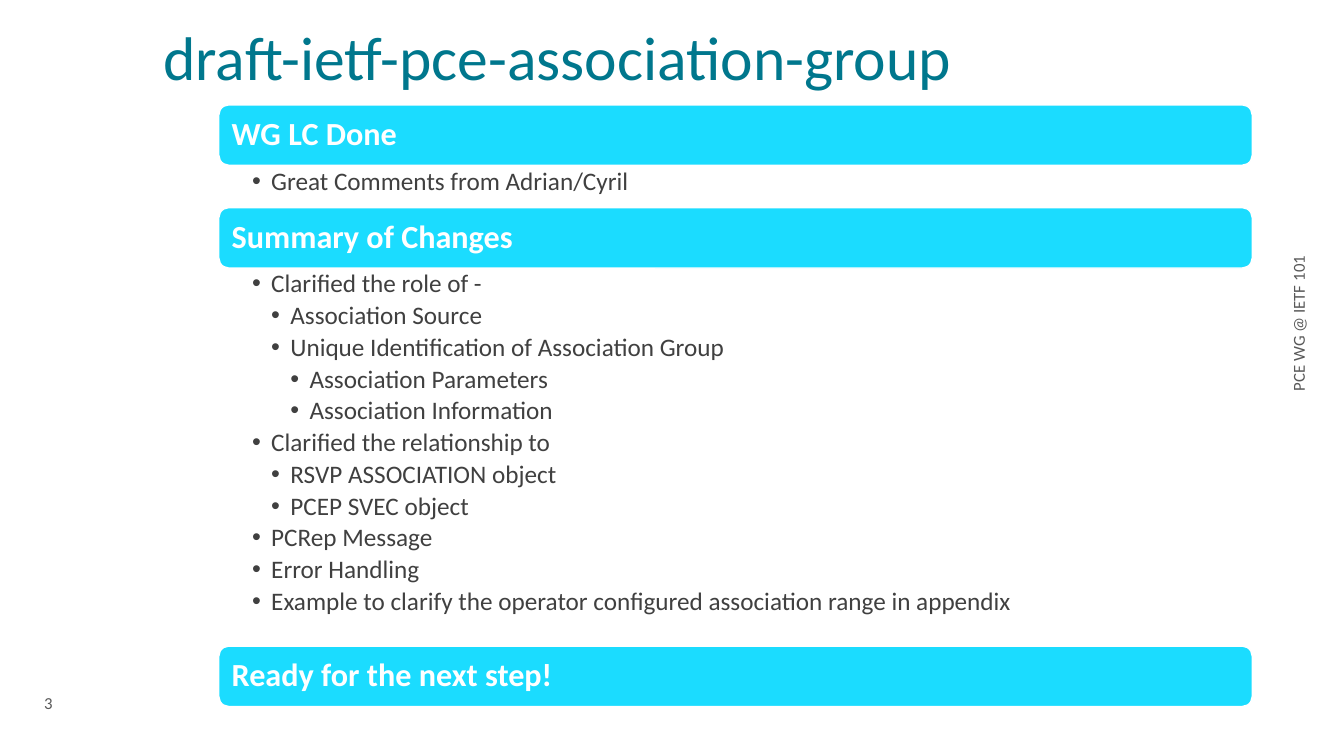
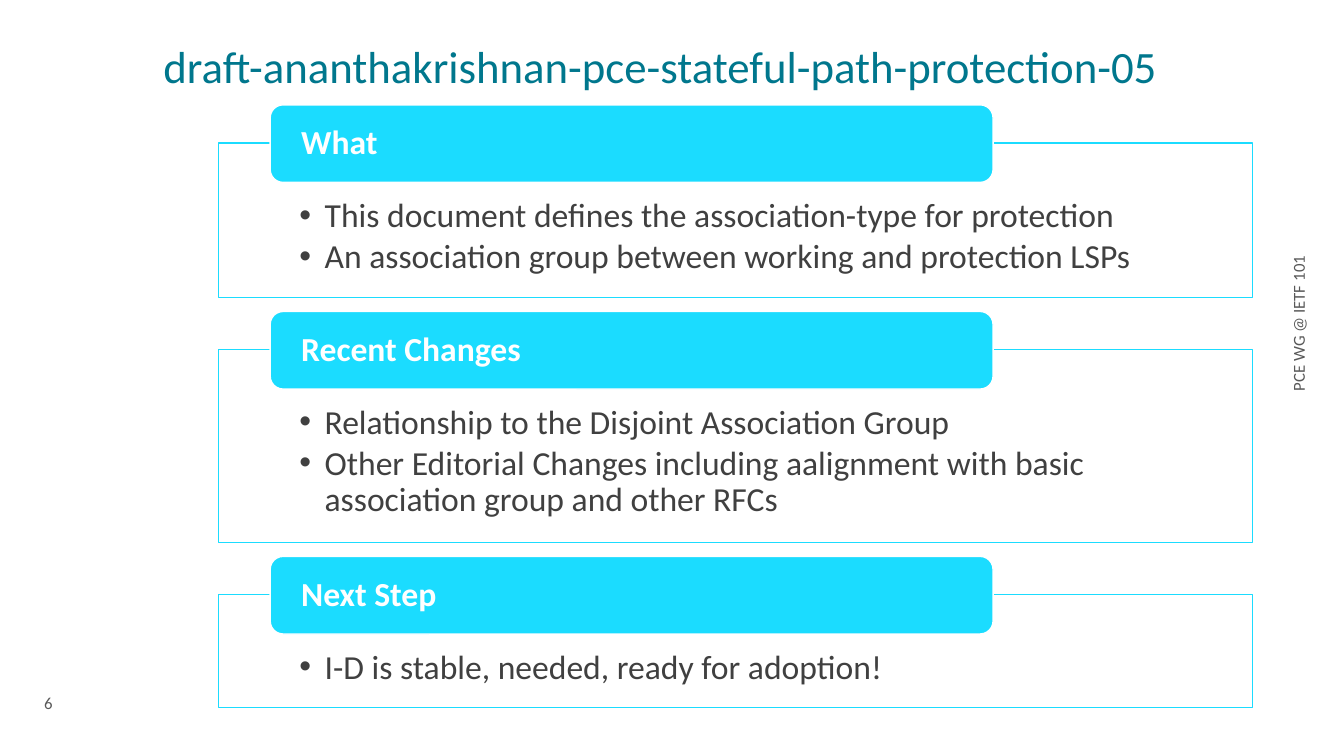
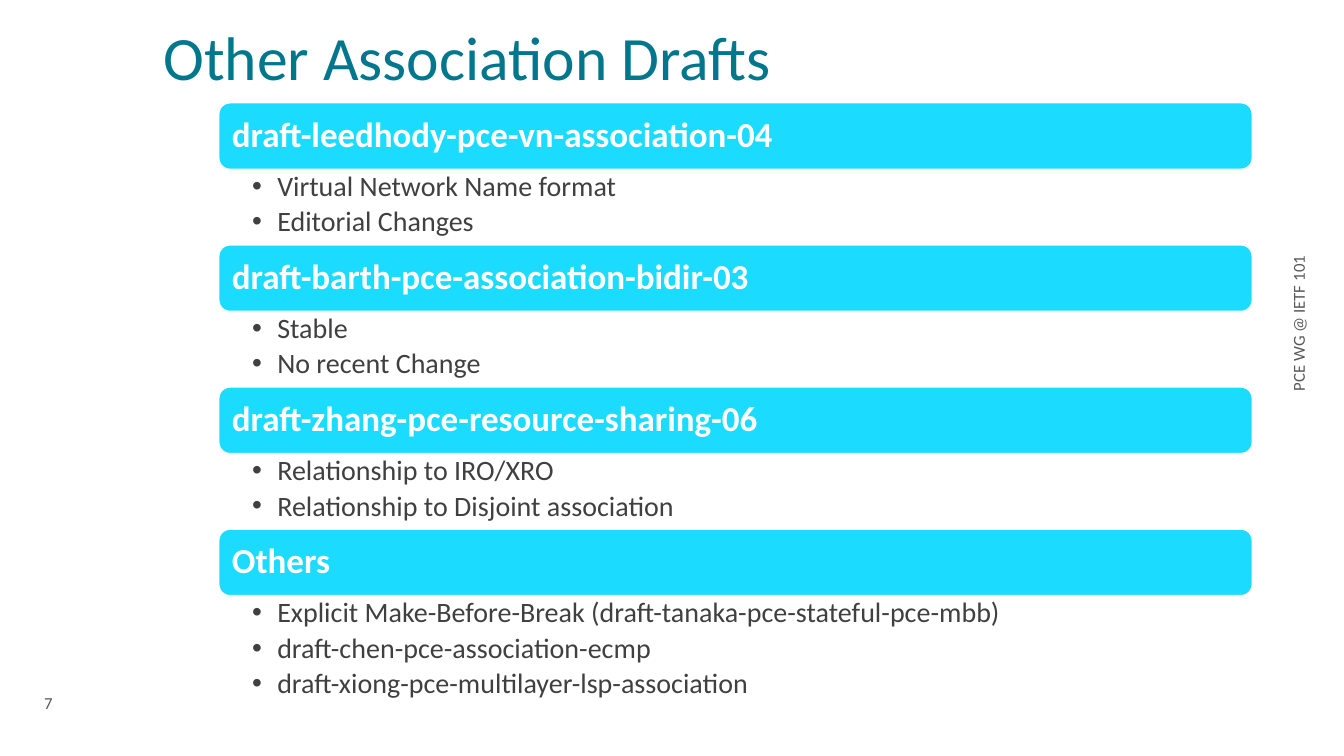
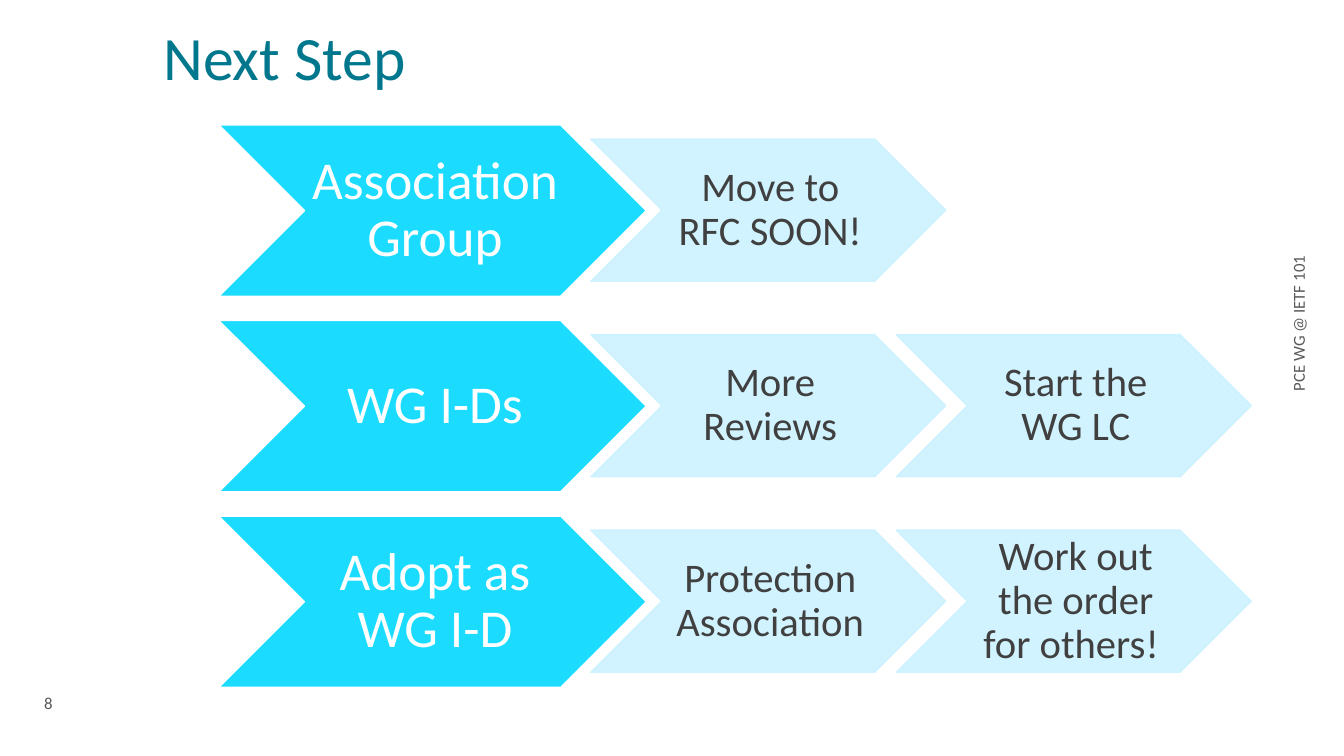
"""Builds four slides on the drafts of the PCE association group."""
from lxml.etree import SubElement
from pptx import Presentation
from pptx.dml.color import RGBColor
from pptx.enum.shapes import MSO_SHAPE as SHAPE
from pptx.enum.text import MSO_ANCHOR as ANCHOR, MSO_AUTO_SIZE as AUTO, PP_ALIGN as ALIGN
from pptx.oxml.ns import qn
from pptx.util import Pt

EMU_PER_PX = 9144
FONT = "Calibri"
COLORS = {
    "title": "00778D",
    "footer": "595959",
    "body": "404040",
    "accent": "1BDCFF",
    "pale": "CDF2FF",
    "white": "FFFFFF",
}
FOOTER = "PCE WG @ IETF 101"
LEFT, WIDTH = 217, 1025

ASSOCIATION_GROUP = [
    ("WG LC Done", 42, [(1, "Great Comments from Adrian/Cyril")]),
    ("Summary of Changes", 375, [
        (1, "Clarified the role of -"),
        (2, "Association Source"),
        (2, "Unique Identification of Association Group"),
        (3, "Association Parameters"),
        (3, "Association Information"),
        (1, "Clarified the relationship to"),
        (2, "RSVP ASSOCIATION object"),
        (2, "PCEP SVEC object"),
        (1, "PCRep Message"),
        (1, "Error Handling"),
        (1, "Example to clarify the operator configured association range in appendix"),
    ]),
    ("Ready for the next step!", 0, []),
]
PATH_PROTECTION = [
    ("What", 153, [
        (1, "This document defines the association-type for protection"),
        (1, "An association group between working and protection LSPs"),
    ]),
    ("Recent Changes", 191, [
        (1, "Relationship to the Disjoint Association Group"),
        (1, "Other Editorial Changes including aalignment with basic "
            "association group and other RFCs"),
    ]),
    ("Next Step", 112, [(1, "I-D is stable, needed, ready for adoption!")]),
]
OTHER_DRAFTS = [
    ("draft-leedhody-pce-vn-association-04", 75, [
        (1, "Virtual Network Name format"),
        (1, "Editorial Changes"),
    ]),
    ("draft-barth-pce-association-bidir-03", 75, [
        (1, "Stable"),
        (1, "No recent Change"),
    ]),
    ("draft-zhang-pce-resource-sharing-06", 75, [
        (1, "Relationship to IRO/XRO"),
        (1, "Relationship to Disjoint association"),
    ]),
    ("Others", 113, [
        (1, "Explicit Make-Before-Break (draft-tanaka-pce-stateful-pce-mbb)"),
        (1, "draft-chen-pce-association-ecmp"),
        (1, "draft-xiong-pce-multilayer-lsp-association"),
    ]),
]
NEXT_STEPS = [
    ("Association Group", ["Move to RFC SOON!"]),
    ("WG I-Ds", ["More Reviews", "Start the WG LC"]),
    ("Adopt as WG I-D", ["Protection Association", "Work out the order for others! "]),
]


def px(*lengths):
    """Turn lengths in px into a list of EMU."""
    return [n * EMU_PER_PX for n in lengths]


def set_attrs(obj, **values):
    """Set each named attribute of an object."""
    for name, value in values.items():
        setattr(obj, name, value)


def rgb(color):
    """Look up a named colour."""
    return RGBColor.from_string(COLORS[color])


def format_frame(tf, anchor, insets=(10, 5, 10, 5)):
    """Set wrapping, anchor and insets of a text frame."""
    sides = ("margin_left", "margin_top", "margin_right", "margin_bottom")
    set_attrs(tf, word_wrap=True, auto_size=AUTO.NONE, vertical_anchor=anchor,
              **dict(zip(sides, px(*insets))))


def write_line(p, text, size, color, bold=False, align=ALIGN.LEFT, spacing=0.9):
    """Write one paragraph of a single style."""
    set_attrs(p, alignment=align, line_spacing=spacing)
    r = p.add_run()
    r.text = text
    set_attrs(r.font, name=FONT, size=Pt(size), bold=bold)
    r.font.color.rgb = rgb(color)


def write_bullets(tf, items, size, indent, gap):
    """Fill a text frame with bullets, spaced by a share of the line."""
    for i, (level, text) in enumerate(items):
        p = tf.paragraphs[0] if i == 0 else tf.add_paragraph()
        write_line(p, text, size, "body")
        set_attrs(p, level=level, space_after=Pt(round(size * gap * 0.9, 2)))
        pPr = p._p.get_or_add_pPr()
        pPr.set("marL", str(level * indent * EMU_PER_PX))
        pPr.set("indent", str(-indent * EMU_PER_PX))
        SubElement(pPr, qn("a:buFont"), typeface="Arial")
        SubElement(pPr, qn("a:buChar"), char="•")


def add_text(s, box, anchor, insets=(10, 5, 10, 5)):
    """Add a text box and return its frame."""
    tf = s.shapes.add_textbox(*px(*box)).text_frame
    format_frame(tf, anchor, insets)
    return tf


def add_block(s, kind, box, fill, line, alpha=None):
    """Add a filled preset shape with a thin outline."""
    sp = s.shapes.add_shape(kind, *px(*box))
    sp.shadow.inherit = False
    sp.fill.solid()
    sp.fill.fore_color.rgb = rgb(fill)
    sp.line.width = Pt(1)
    sp.line.color.rgb = rgb(line)
    if alpha:
        for clr in sp._element.spPr.iter(qn("a:srgbClr")):
            if clr.get("val") != COLORS["accent"]:
                SubElement(clr, qn("a:alpha"), val=str(alpha * 1000))
    return sp


def add_heading(s, box, text, size, insets):
    """Add a rounded bar with a bold heading."""
    tf = add_block(s, SHAPE.ROUNDED_RECTANGLE, box, "accent", "white").text_frame
    format_frame(tf, ANCHOR.MIDDLE, insets)
    write_line(tf.paragraphs[0], text, size, "white", bold=True)


def add_chevron(s, box, text, size, insets, fill, line, color, alpha=None):
    """Add a chevron with centred text."""
    tf = add_block(s, SHAPE.CHEVRON, box, fill, line, alpha).text_frame
    format_frame(tf, ANCHOR.MIDDLE, insets)
    write_line(tf.paragraphs[0], text, size, color, align=ALIGN.CENTER)


def add_page(prs, title, number, size=44):
    """Add a slide with its title, side footer and number."""
    s = prs.slides.add_slide(prs.slide_layouts[5])
    sp = s.shapes.title
    set_attrs(sp, **dict(zip(("left", "top", "width", "height"), px(152, 16, 1025, 81))))
    format_frame(sp.text_frame, ANCHOR.BOTTOM)
    write_line(sp.text_frame.paragraphs[0], title, size, "title", spacing=0.85)
    tf = add_text(s, (1272, 40, 31, 562), ANCHOR.MIDDLE)
    tf._txBody.bodyPr.set("vert", "vert270")
    write_line(tf.paragraphs[0], FOOTER, 12, "footer", align=ALIGN.CENTER, spacing=1.0)
    tf = add_text(s, (34, 686, 79, 22), ANCHOR.MIDDLE)
    write_line(tf.paragraphs[0], str(number), 12, "footer", spacing=1.0)
    return s


def add_stack(s, sections, top, bar, heading_size, size, indent):
    """Stack full-width headings, each with its bullets below."""
    for heading, height, items in sections:
        add_heading(s, (LEFT, top, WIDTH, bar), heading, heading_size, (10, 10, 10, 10))
        top += bar
        if items:
            tf = add_text(s, (LEFT, top, WIDTH, height), ANCHOR.TOP, (33, 3, 18, 3))
            write_bullets(tf, items, size, indent, 0.2)
        top += height


def add_panels(s, sections, top, gap):
    """Stack outlined panels, each with a heading over its top edge."""
    for heading, height, items in sections:
        sp = add_block(s, SHAPE.RECTANGLE, (LEFT, top, WIDTH, height), "white", "accent", 90)
        format_frame(sp.text_frame, ANCHOR.TOP, (80, 55, 80, 19))
        write_bullets(sp.text_frame, items, 24, 25, 0.15)
        add_heading(s, (268, top - 38, 717, 77), heading, 24, (27, 0, 27, 0))
        top += height + gap


def add_step_rows(s, rows, top, pitch):
    """Draw rows of a large chevron followed by smaller ones."""
    for i, (lead, steps) in enumerate(rows):
        y = top + i * pitch
        add_chevron(s, (LEFT, y, 424, 170), lead, 38, (5, 3, 0, 3),
                    "accent", "white", "white")
        for j, step in enumerate(steps):
            add_chevron(s, (586 + j * 303, y + 14, 352, 141), step, 29, (4, 2, 0, 2),
                        "pale", "pale", "body", 90)


def main():
    """Build and save the presentation."""
    prs = Presentation()
    prs.slide_width, prs.slide_height = px(1333, 750)
    s = add_page(prs, "draft-ietf-pce-association-group", 3)
    add_stack(s, ASSOCIATION_GROUP, 104, 60, 23, 18, 19)
    s = add_page(prs, "draft-ananthakrishnan-pce-stateful-path-protection-05", 6, 32)
    add_panels(s, PATH_PROTECTION, 142, 52)
    s = add_page(prs, "Other Association Drafts", 7)
    add_stack(s, OTHER_DRAFTS, 102, 66, 25, 20, 25)
    s = add_page(prs, "Next Step", 8)
    add_step_rows(s, NEXT_STEPS, 124, 194)
    prs.save("out.pptx")


if __name__ == "__main__":
    main()
